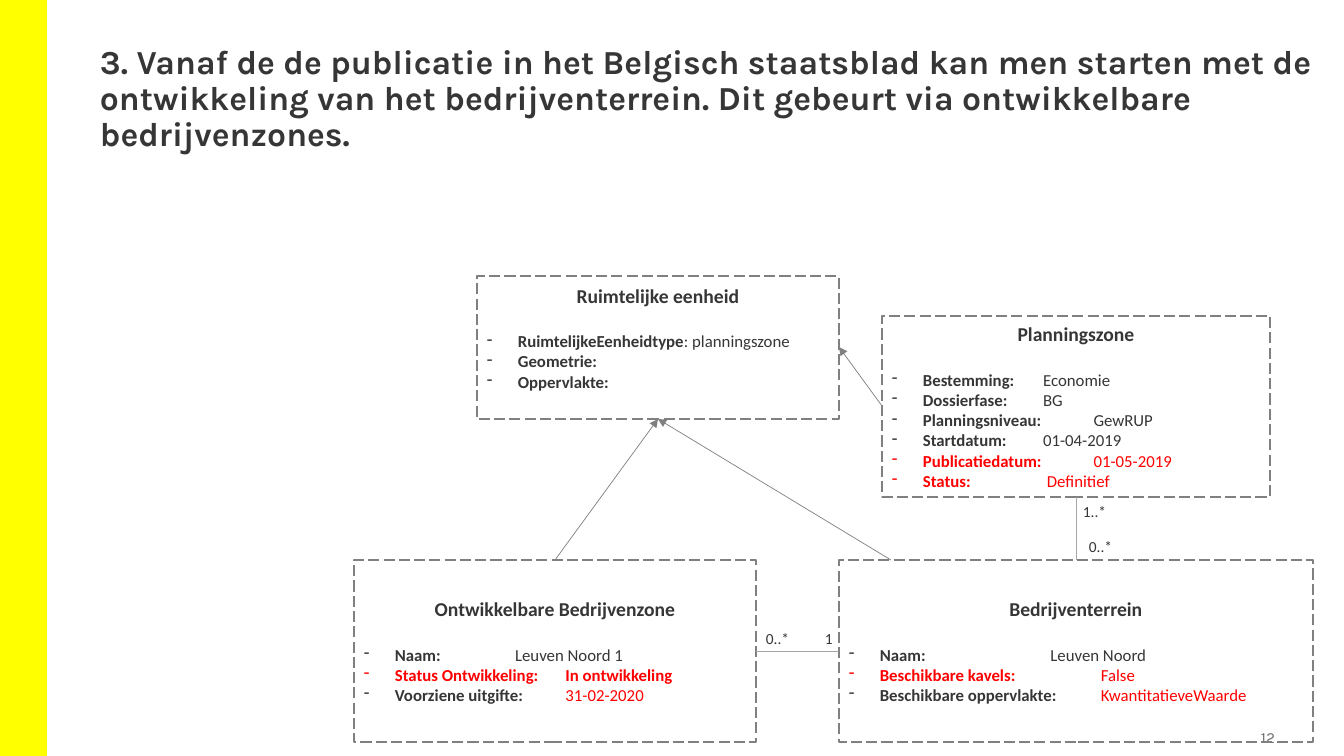
from lxml.etree import SubElement
from pptx import Presentation
from pptx.dml.color import RGBColor
from pptx.enum.dml import MSO_LINE
from pptx.enum.shapes import MSO_CONNECTOR, MSO_SHAPE
from pptx.enum.text import MSO_ANCHOR, PP_ALIGN
from pptx.oxml.ns import qn
from pptx.util import Emu, Pt

EMU_PER_PX = 914400 / 100.8
COLORS = {
    "band": "FFFF00",
    "ink": "373636",
    "red": "FF0000",
    "border": "808080",
    "relation": "A6A6A6",
    "page": "6B6B6B",
}
TITLE = (
    "3. Vanaf de de publicatie in het Belgisch staatsblad kan men starten met de "
    "ontwikkeling van het bedrijventerrein. Dit gebeurt via ontwikkelbare bedrijvenzones."
)


def px(length):
    return Emu(round(length * EMU_PER_PX))


def rgb(name):
    return RGBColor.from_string(COLORS[name])


def add_run(paragraph, text, size, color="ink", bold=False, font="Calibri"):
    run = paragraph.add_run()
    run.text = text
    run.font.name = font
    run.font.size = Pt(size)
    run.font.bold = bold
    run.font.color.rgb = rgb(color)


def add_text(slide, area, text, size, color="ink", bold=False, font="Calibri"):
    frame = slide.shapes.add_textbox(*map(px, area)).text_frame
    frame.word_wrap = True
    add_run(frame.paragraphs[0], text, size, color, bold, font)
    return frame


def add_band(slide):
    band = slide.shapes.add_shape(MSO_SHAPE.RECTANGLE, 0, 0, px(47), px(756))
    band.shadow.inherit = False
    band.fill.solid()
    band.fill.fore_color.rgb = rgb("band")
    band.line.fill.background()


def add_dash_bullet(paragraph):
    properties = paragraph._p.get_or_add_pPr()
    properties.set("marL", str(px(31)))
    properties.set("indent", str(-px(31)))
    SubElement(properties, qn("a:buChar")).set("char", "-")


def add_entity(slide, area, heading, attributes, bottom_inset=5):
    """Dashed class box; each attribute is a list of (text, bold, color) runs."""
    entity = slide.shapes.add_shape(MSO_SHAPE.RECTANGLE, *map(px, area))
    entity.shadow.inherit = False
    entity.fill.background()
    entity.line.color.rgb = rgb("border")
    entity.line.width = Pt(1)
    entity.line.dash_style = MSO_LINE.LONG_DASH

    frame = entity.text_frame
    frame.word_wrap = True
    frame.vertical_anchor = MSO_ANCHOR.MIDDLE
    frame.margin_bottom = px(bottom_inset)
    title = frame.paragraphs[0]
    title.alignment = PP_ALIGN.CENTER
    title.space_after = Pt(17)
    add_run(title, heading, 14, bold=True)
    for runs in attributes:
        line = frame.add_paragraph()
        line.alignment = PP_ALIGN.LEFT
        add_dash_bullet(line)
        for text, bold, color in runs:
            add_run(line, text, 12, color, bold)


def attribute(label, value="", label_color="ink", value_color=None, value_bold=False):
    runs = [(label, True, label_color)]
    if value:
        runs.append((value, value_bold, value_color or label_color))
    return runs


def add_link(slide, start, end, color, arrow=False):
    link = slide.shapes.add_connector(MSO_CONNECTOR.STRAIGHT, *map(px, start + end))
    link.line.color.rgb = rgb(color)
    link.line.width = Pt(0.5)
    if arrow:
        SubElement(link.line._get_or_add_ln(), qn("a:tailEnd")).set("type", "triangle")
    SubElement(link._element.spPr, qn("a:effectLst"))


def main():
    prs = Presentation()
    prs.slide_width, prs.slide_height = px(1344), px(756)
    slide = prs.slides.add_slide(prs.slide_layouts[6])

    # Band, title and page number
    add_band(slide)
    title = add_text(slide, (90, 40, 1234, 146), TITLE, 24, bold=True, font="Karla")
    title.paragraphs[0].line_spacing = 0.9
    page = add_text(slide, (1179, 723, 101, 29), "12", 11, "page", font="Karla")
    page.margin_left = page.margin_right = px(5)
    page.vertical_anchor = MSO_ANCHOR.MIDDLE
    page.paragraphs[0].alignment = PP_ALIGN.RIGHT

    # Entities
    add_entity(slide, (477, 276, 362, 143), "Ruimtelijke eenheid", [
        attribute("RuimtelijkeEenheidtype", ": planningszone"),
        attribute("Geometrie:"),
        attribute("Oppervlakte:"),
    ], bottom_inset=25)
    add_entity(slide, (882, 316, 388, 181), "Planningszone", [
        attribute("Bestemming: \t", "Economie"),
        attribute("Dossierfase: \t", "BG"),
        attribute("Planningsniveau: \t", "GewRUP"),
        attribute("Startdatum:\t", "01-04-2019"),
        attribute("Publicatiedatum: \t", "01-05-2019", "red"),
        attribute("Status:\t\t ", "Definitief", "red"),
    ])
    add_entity(slide, (839, 560, 474, 182), "Bedrijventerrein", [
        attribute("Naam:\t\t\t", "Leuven Noord"),
        attribute("Beschikbare kavels:\t\t", "False", "red"),
        attribute("Beschikbare oppervlakte:\t", "KwantitatieveWaarde", value_color="red"),
    ])
    add_entity(slide, (354, 560, 402, 182), "Ontwikkelbare Bedrijvenzone", [
        attribute("Naam:\t\t", "Leuven Noord 1"),
        attribute("Status Ontwikkeling: \t", "In ontwikkeling", "red", value_bold=True),
        attribute("Voorziene uitgifte:\t", "31-02-2020", value_color="red"),
    ])

    # Inheritance arrows towards Ruimtelijke eenheid
    for start, end in (
        ((882, 406), (839, 347)),
        ((891, 560), (658, 419)),
        ((555, 560), (658, 419)),
    ):
        add_link(slide, start, end, "border", arrow=True)

    # Relations and their cardinalities
    add_link(slide, (1076, 497), (1076, 560), "relation")
    add_link(slide, (756, 651), (839, 651), "relation")
    for left, top, cardinality in (
        (1073, 497, "1..*"),
        (1079, 532, "0..*"),
        (815, 624, "1"),
        (756, 624, "0..*"),
    ):
        add_text(slide, (left, top, 45, 29), cardinality, 11)

    prs.save("out.pptx")


main()
